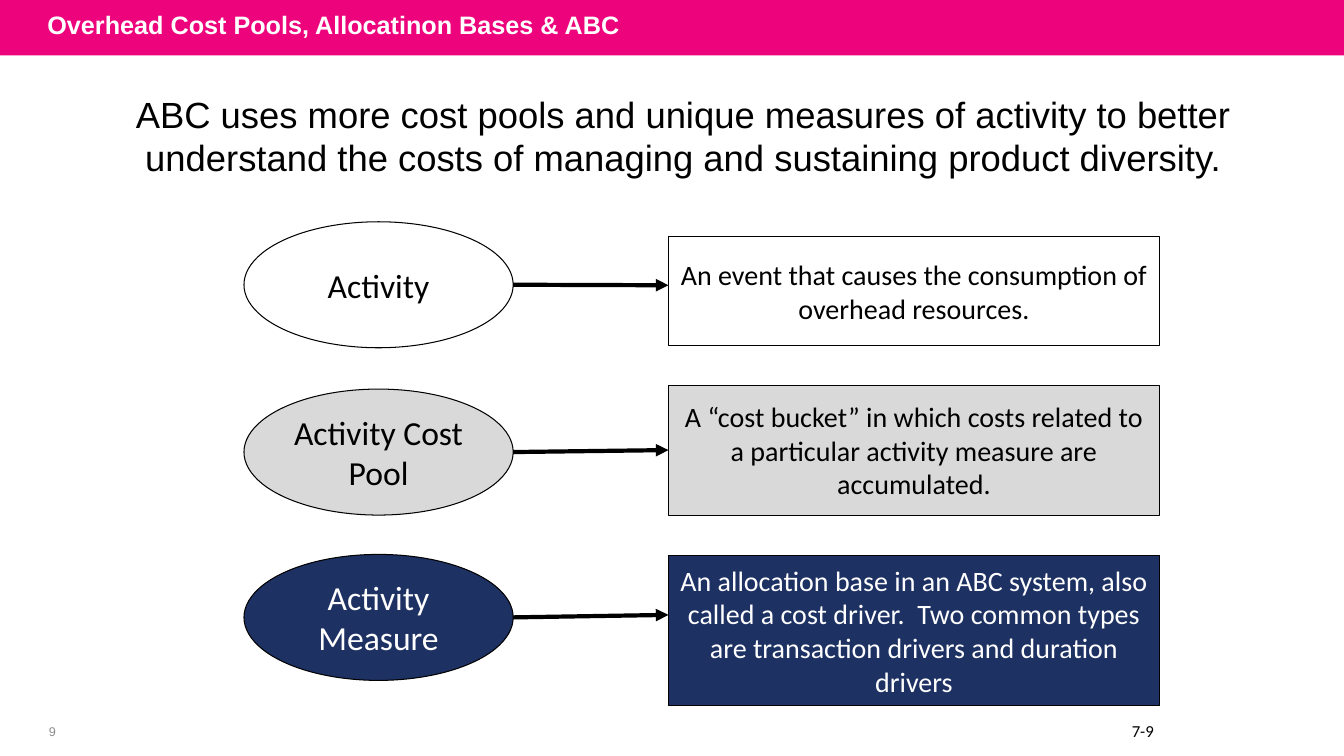
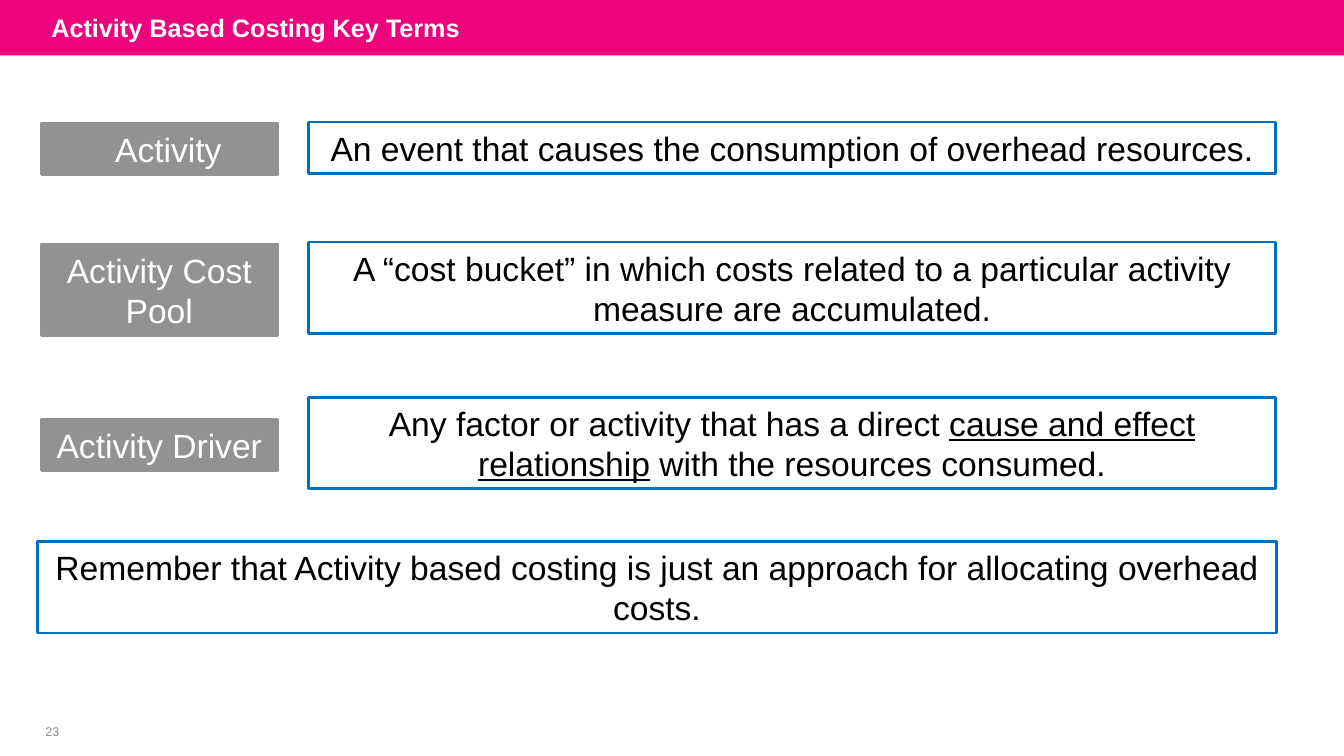
"""Build two slides on activity based costing."""
from dataclasses import dataclass

from lxml import etree
from pptx import Presentation
from pptx.dml.color import RGBColor
from pptx.enum.shapes import MSO_CONNECTOR, MSO_SHAPE
from pptx.enum.text import MSO_ANCHOR, PP_ALIGN
from pptx.oxml.ns import qn
from pptx.util import Inches, Pt

RECT, OVAL = MSO_SHAPE.RECTANGLE, MSO_SHAPE.OVAL
STRAIGHT = MSO_CONNECTOR.STRAIGHT
TOP, MIDDLE = MSO_ANCHOR.TOP, MSO_ANCHOR.MIDDLE
LEFT, CENTER = PP_ALIGN.LEFT, PP_ALIGN.CENTER
TITLE_ONLY = 5
LEFT_SIDE = 1


@dataclass(frozen=True)
class Theme:
    """Hold the colours, fonts and type sizes."""
    pink: str = "ED037C"
    navy: str = "1E3163"
    blue: str = "0070C0"
    pale: str = "D9D9D9"
    gray: str = "929292"
    dim: str = "8C8C8C"
    black: str = "000000"
    white: str = "FFFFFF"
    main: str = "Arial"
    alt: str = "Calibri"
    title: int = 18
    lead: int = 26
    term: int = 24
    note: int = 20
    foot: int = 12
    page: int = 9


T = Theme()


def rgb(color):
    """Turn a hex string into a colour."""
    return RGBColor.from_string(color)


def write(shape, text, size, color=T.black, font=T.main, pad=0.1,
          align=CENTER, anchor=MIDDLE, bold=False):
    """Fill a shape with one paragraph of plain text or (text, underline) runs."""
    frame = shape.text_frame
    frame.word_wrap = True
    frame.vertical_anchor = anchor
    frame.margin_left = frame.margin_right = Inches(pad)
    frame.margin_top = frame.margin_bottom = Inches(pad / 2)
    para = frame.paragraphs[0]
    para.alignment = align
    parts = [(text, False)] if isinstance(text, str) else text
    for words, under in parts:
        run = para.add_run()
        run.text = words
        if under:
            run.font.underline = True
    para.font.name, para.font.size = font, Pt(size)
    para.font.bold = bold
    para.font.color.rgb = rgb(color)


def add_box(slide, kind, area, fill=None, line=None, width=0.75):
    """Add a preset shape with an optional fill and outline."""
    box = slide.shapes.add_shape(kind, *map(Inches, area))
    box.shadow.inherit = False
    if fill:
        box.fill.solid()
        box.fill.fore_color.rgb = rgb(fill)
    else:
        box.fill.background()
    if line:
        box.line.color.rgb = rgb(line)
        box.line.width = Pt(width)
    else:
        box.line.fill.background()
    return box


def add_text(slide, area, text, size, **style):
    """Add a text box."""
    write(slide.shapes.add_textbox(*map(Inches, area)), text, size, **style)


def add_arrow(slide, start, end, target=None):
    """Draw a thick arrow, joined to the left side of a target if given."""
    line = slide.shapes.add_connector(STRAIGHT, *map(Inches, start + end))
    if target is not None:
        line.end_connect(target, LEFT_SIDE)
    line.line.color.rgb = rgb(T.black)
    line.line.width = Pt(3)
    etree.SubElement(line.line._get_or_add_ln(), qn("a:tailEnd"), type="triangle")
    etree.SubElement(line.element.spPr, qn("a:effectLst"))


def add_slide(deck, title, left, top, page):
    """Add a slide with its title and page number."""
    slide = deck.slides.add_slide(deck.slide_layouts[TITLE_ONLY])
    head = slide.shapes.title
    head.left, head.top = Inches(left), Inches(top)
    head.width, head.height = Inches(10.5), Inches(0.55)
    write(head, title, T.title, T.white, align=LEFT, bold=True)
    add_text(slide, (0.26, 7.14, 0.52, 0.24), page, T.page, color=T.dim, pad=0)
    return slide


def set_band(deck, slide):
    """Move a pink top band into the shared layout."""
    band = add_box(slide, RECT, (0, 0, 13.33, 0.55), T.pink)
    slide.slide_layout.shapes.element.insert(2, band.element)


def add_pair(slide, term, note, top, box_top, tall, tip, fill, color):
    """Link an oval term to its boxed meaning."""
    left, wide, high, box_left = 2.42, 2.67, 1.25, 6.63
    oval = add_box(slide, OVAL, (left, top, wide, high), fill, T.black)
    write(oval, term, T.term, color, T.alt)
    box = add_box(slide, RECT, (box_left, box_top, 4.87, tall), fill, T.black)
    write(box, note, T.note, color, T.alt)
    centred = abs(box_top + tall / 2 - tip) < 0.03
    add_arrow(slide, (left + wide, top + high / 2), (box_left, tip),
              box if centred else None)


def add_label(slide, text, top, tall, shift):
    """Add a gray term label, its text moved right by a shift."""
    box = add_box(slide, RECT, (0.41, top, 2.34, tall), T.gray, T.gray, 2)
    write(box, text, T.term, T.white, pad=0)
    box.text_frame.margin_left = Inches(shift)


def add_frame(slide, left, top, wide, tall, text):
    """Add a blue outlined statement."""
    box = add_box(slide, RECT, (left, top, wide, tall), line=T.blue, width=2)
    write(box, text, T.term, pad=0)


def add_pools(deck):
    """Build the slide on cost pools."""
    slide = add_slide(deck, "Overhead Cost Pools, Allocatinon Bases & ABC",
                      0.37, -0.03, "9")
    set_band(deck, slide)
    add_text(slide, (1, 0.86, 11.57, 0.98),
             "ABC uses more cost pools and unique measures of activity to better "
             "understand the costs of managing and sustaining product diversity.",
             T.lead, anchor=TOP)
    pairs = (
        ("Activity",
         "An event that causes the consumption of overhead resources.",
         2.2, 2.35, 1.08, 2.83, None, T.black),
        ("Activity Cost Pool",
         "A “cost bucket” in which costs related to a particular activity "
         "measure are accumulated.",
         3.86, 3.82, 1.29, 4.48, T.pale, T.black),
        ("Activity Measure",
         "An allocation base in an ABC system, also called a cost driver.  Two "
         "common types are transaction drivers and duration drivers",
         5.5, 5.51, 1.49, 6.1, T.navy, T.white),
    )
    for pair in pairs:
        add_pair(slide, *pair)
    add_text(slide, (11, 7.1, 0.67, 0.3), "7-9", T.foot, font=T.alt, anchor=TOP)


def add_terms(deck):
    """Build the slide on key terms."""
    slide = add_slide(deck, "Activity Based Costing Key Terms", 0.41, 0, "23")
    one, two = 0.51, 0.91
    labels = (
        ("Activity", 1.22, one, 0.18),
        ("Activity Cost Pool", 2.42, two, 0),
        ("Activity Driver", 4.16, one, 0),
    )
    for label in labels:
        add_label(slide, *label)
    left, wide = 3.06, 9.59
    frames = (
        (left, 1.21, wide, one,
         "An event that causes the consumption of overhead resources."),
        (left, 2.4, wide, two,
         "A “cost bucket” in which costs related to a particular activity "
         "measure are accumulated."),
        (left, 3.94, wide, two,
         (("Any factor or activity that has a direct ", False),
          ("cause and effect relationship", True),
          (" with the resources consumed.", False))),
        (0.37, 5.37, 12.29, two,
         "Remember that Activity based costing is just an approach for "
         "allocating overhead costs."),
    )
    for frame in frames:
        add_frame(slide, *frame)


def main():
    """Build and save the deck."""
    deck = Presentation()
    deck.slide_width, deck.slide_height = Inches(13.33), Inches(7.5)
    add_pools(deck)
    add_terms(deck)
    deck.save("out.pptx")


if __name__ == "__main__":
    main()
